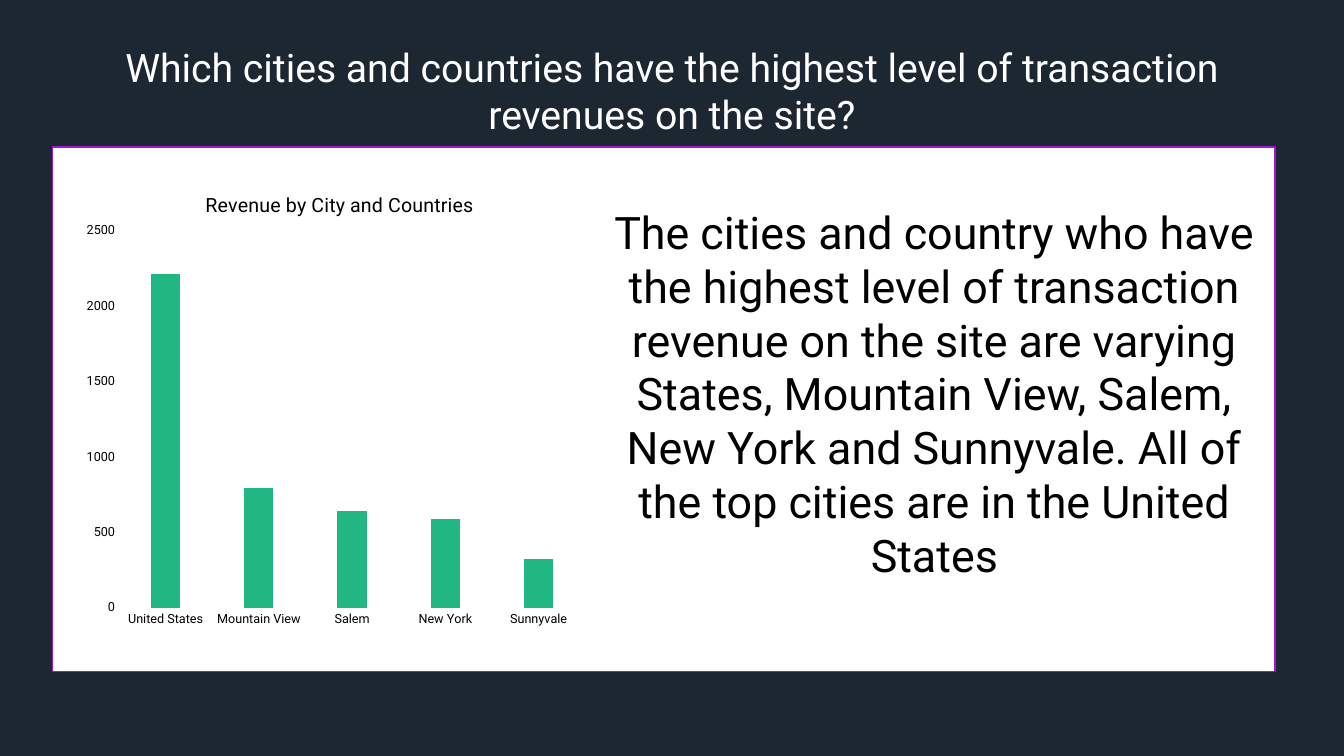
"""Build the slide on transaction revenue by city and country."""
from dataclasses import dataclass

from lxml import etree
from pptx import Presentation
from pptx.chart.data import CategoryChartData
from pptx.dml.color import RGBColor
from pptx.enum.chart import XL_CHART_TYPE, XL_TICK_MARK
from pptx.enum.shapes import MSO_SHAPE
from pptx.enum.text import MSO_ANCHOR, MSO_AUTO_SIZE, PP_ALIGN
from pptx.oxml.ns import qn
from pptx.util import Pt

COLUMN = XL_CHART_TYPE.COLUMN_CLUSTERED
NO_TICK = XL_TICK_MARK.NONE
RECT = MSO_SHAPE.RECTANGLE
TOP = MSO_ANCHOR.TOP
NO_FIT = MSO_AUTO_SIZE.NONE
CENTER = PP_ALIGN.CENTER
FONT = "Roboto"
WHITE, BLACK = "FFFFFF", "000000"
REVENUE = {
    "United States": 2210,
    "Mountain View": 790,
    "Salem": 640,
    "New York": 590,
    "Sunnyvale": 320,
}


@dataclass
class TextBlock:
    text: str
    box: tuple[float, float, float, float]
    size: float
    color: str
    before: float = 0
    after: float = 0


TEXTS = [
    TextBlock("Which cities and countries have the highest level of transaction "
              "revenues on the site?", (43.2, 31, 873.4, 105), 28, WHITE),
    TextBlock("The cities and country who have the highest level of transaction "
              "revenue on the site are varying States, Mountain View, Salem, "
              "New York and Sunnyvale. All of the top cities are in the United "
              "States", (438.5, 146.2, 457.9, 280), 32, BLACK, 10, 8),
]


def rgb(color: str) -> RGBColor:
    return RGBColor.from_string(color)


def set_all(target, values: dict) -> None:
    for name, value in values.items():
        setattr(target, name, value)


def paint(fill, color: str) -> None:
    fill.solid()
    fill.fore_color.rgb = rgb(color)


def set_font(font, size: float, color: str) -> None:
    set_all(font, {"name": FONT, "size": Pt(size), "bold": False})
    font.color.rgb = rgb(color)


def fill_placeholder(sp, block: TextBlock) -> None:
    set_all(sp, dict(zip(("left", "top", "width", "height"), map(Pt, block.box))))
    tf = sp.text_frame
    set_all(tf, {"margin_left": 0, "margin_top": 0, "margin_right": 0,
                 "margin_bottom": 0, "word_wrap": True, "vertical_anchor": TOP,
                 "auto_size": NO_FIT})
    p = tf.paragraphs[0]
    set_all(p, {"alignment": CENTER, "line_spacing": 1.0,
                "space_before": Pt(block.before), "space_after": Pt(block.after)})
    pPr = p._p.get_or_add_pPr()
    pPr.set("marL", "0")
    pPr.set("indent", "0")
    etree.SubElement(pPr, qn("a:buNone"))
    r = p.add_run()
    r.text = block.text
    set_font(r.font, block.size, block.color)


def place(element, index: int, values: dict[str, str | float]) -> None:
    for old in element.findall(qn("c:layout")):
        element.remove(old)
    layout = etree.Element(qn("c:layout"))
    manual = etree.SubElement(layout, qn("c:manualLayout"))
    for name, value in values.items():
        etree.SubElement(manual, qn(f"c:{name}")).set("val", str(value))
    element.insert(index, layout)


def add_panel(s) -> None:
    sp = s.shapes.add_shape(RECT, Pt(37.4), Pt(105.1), Pt(873.4), Pt(374.4))
    sp.shadow.inherit = False
    paint(sp.fill, WHITE)
    paint(sp.line.fill, "A217D5")
    sp.line.width = Pt(1)
    s.shapes._spTree.insert(2, sp._element)


def add_revenue_chart(s) -> None:
    data = CategoryChartData()
    data.categories = list(REVENUE)
    data.add_series("Series 1", list(REVENUE.values()))
    chart = s.shapes.add_chart(COLUMN, Pt(55.4), Pt(117.4), Pt(370.1), Pt(337),
                               data).chart
    set_font(chart.font, 10, BLACK)
    chart.has_legend = False
    r = chart.chart_title.text_frame.paragraphs[0].add_run()
    r.text = "Revenue by City and Countries"
    set_font(r.font, 14, BLACK)
    place(chart.chart_title._element, 1,
          {"xMode": "edge", "yMode": "edge", "x": 0.24, "y": 0.05})
    place(chart._chartSpace.chart.plotArea, 0,
          {"layoutTarget": "inner", "xMode": "edge", "yMode": "edge",
           "x": 0.08, "y": 0.14, "w": 0.9, "h": 0.8})
    plot = chart.plots[0]
    set_all(plot, {"gap_width": 219, "overlap": -27, "vary_by_categories": False})
    paint(plot.series[0].format.fill, "21B782")
    category, value = chart.category_axis, chart.value_axis
    for axis in (category, value):
        set_all(axis, {"major_tick_mark": NO_TICK, "minor_tick_mark": NO_TICK})
        set_font(axis.tick_labels.font, 9, BLACK)
    set_all(value, {"minimum_scale": 0, "maximum_scale": 2500, "major_unit": 500})
    value.format.line.fill.background()
    for line in (category.format.line, value.major_gridlines.format.line):
        paint(line.fill, WHITE)
        line.width = Pt(0.75)


def main() -> None:
    prs = Presentation()
    set_all(prs, {"slide_width": Pt(960), "slide_height": Pt(540)})
    s = prs.slides.add_slide(prs.slide_layouts[1])
    paint(s.background.fill, "1C2732")
    for sp, block in zip(s.placeholders, TEXTS):
        fill_placeholder(sp, block)
    add_panel(s)
    add_revenue_chart(s)
    prs.save("out.pptx")


if __name__ == "__main__":
    main()
